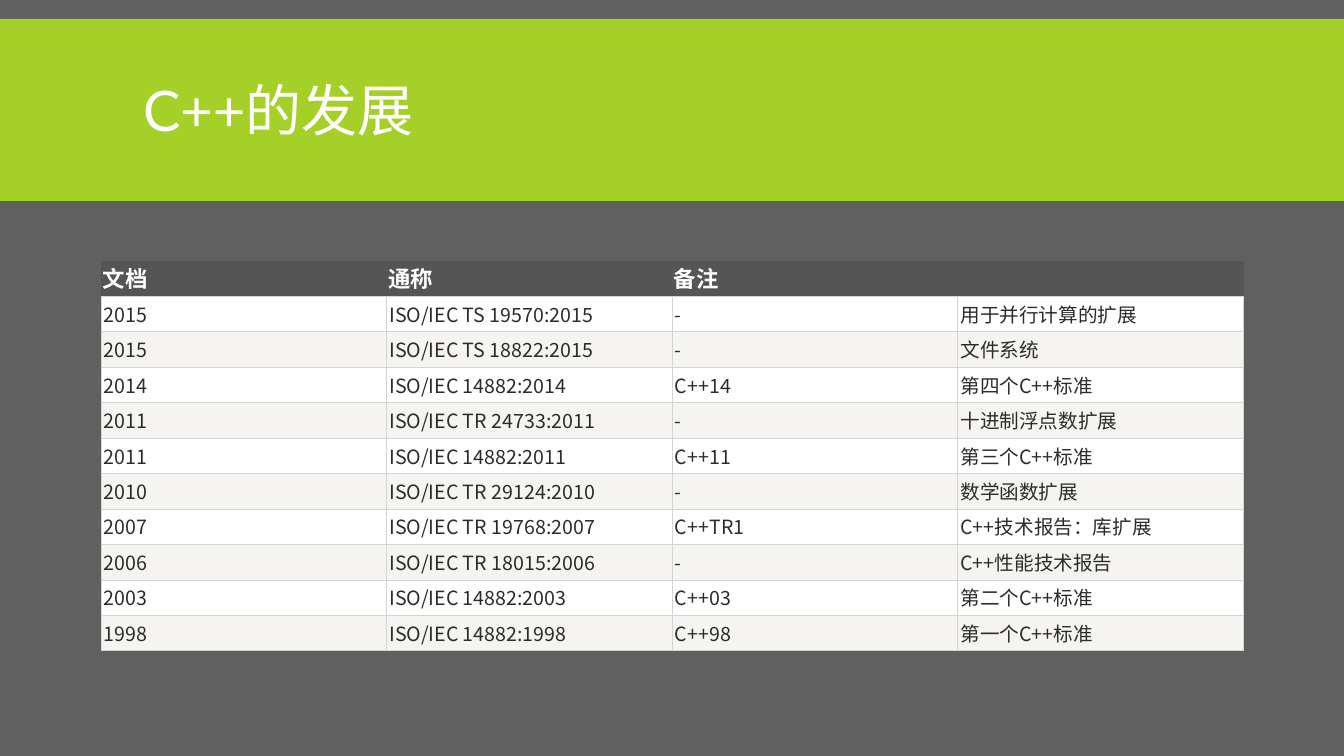
"""Builds a slide with a table of the C++ standards."""
from dataclasses import dataclass
from pptx import Presentation as Deck
from pptx.dml.color import RGBColor as Color
from pptx.enum.shapes import MSO_SHAPE as Shape
from pptx.enum.text import MSO_ANCHOR as Anchor, PP_ALIGN as Align
from pptx.oxml.ns import qn
from pptx.util import Pt
from lxml.etree import SubElement as Sub

SCALE = 914400 / 100.8


def emu(px):
    return round(px * SCALE)


@dataclass(frozen=True)
class Theme:
    back: str = "606060"
    band: str = "A5D028"
    head: str = "555555"
    odd: str = "FFFFFF"
    even: str = "F6F4F0"
    rule: str = "D4D4D4"
    light: str = "FFFFFF"
    dark: str = "2C2C2C"
    title: tuple = ("Lato", 40)
    label: tuple = ("Arial", 16)
    body: tuple = ("Noto Sans CJK SC", 14)
    east: str = "Noto Sans CJK SC"
    line: float = 0.75


class Page:
    def __init__(self, deck, theme):
        self.theme = theme
        self.slide = deck.slides.add_slide(deck.slide_layouts[5])
        self.paint(self.slide.background.fill, theme.back)

    def paint(self, fill, color):
        fill.solid()
        fill.fore_color.rgb = Color.from_string(color)

    def text(self, para, words, style, color, bold=False):
        run = para.add_run()
        run.text = words
        font = run.font
        font.name, size = style
        font.size, font.bold = Pt(size), bold
        font.color.rgb = Color.from_string(color)
        Sub(font._element, qn("a:ea"), typeface=self.theme.east)

    def band(self, *box):
        shape = self.slide.shapes.add_shape(Shape.RECTANGLE, *map(emu, box))
        shape.shadow.inherit = False
        self.paint(shape.fill, self.theme.band)
        shape.line.fill.background()

    def title(self, words, *box):
        shape = self.slide.shapes.title
        shape.left, shape.top, shape.width, shape.height = map(emu, box)
        shape._element.getparent().append(shape._element)
        frame = shape.text_frame
        frame.vertical_anchor = Anchor.MIDDLE
        para = frame.paragraphs[0]
        para.alignment, para.line_spacing = Align.LEFT, 0.85
        self.text(para, words, self.theme.title, self.theme.light)

    def edge(self, cell, side, color):
        line = Sub(cell._tc.get_or_add_tcPr(), qn("a:ln" + side),
                   w=str(Pt(self.theme.line)))
        Sub(Sub(line, qn("a:solidFill")), qn("a:srgbClr"), val=color)

    def cell(self, cell, words, top, fill):
        look = self.theme
        across, down = (2, 1) if top else (3, 3)
        cell.margin_left = cell.margin_right = emu(across)
        cell.margin_top = cell.margin_bottom = emu(down)
        for side in "LRTB":
            self.edge(cell, side, look.head if top and side != "B" else look.rule)
        self.paint(cell.fill, fill)
        style, color = (look.label, look.light) if top else (look.body, look.dark)
        if words:
            self.text(cell.text_frame.paragraphs[0], words, style, color, top)

    def table(self, rows, *box):
        look = self.theme
        grid = self.slide.shapes.add_table(len(rows), len(rows[0]), *map(emu, box)).table
        for r, row in enumerate(rows):
            fill = look.head if r == 0 else look.odd if r % 2 else look.even
            for c, words in enumerate(row):
                self.cell(grid.cell(r, c), words, r == 0, fill)


ROWS = [
    ("文档", "通称", "备注", ""),
    ("2015", "ISO/IEC TS 19570:2015", "-", "用于并行计算的扩展"),
    ("2015", "ISO/IEC TS 18822:2015", "-", "文件系统"),
    ("2014", "ISO/IEC 14882:2014", "C++14", "第四个C++标准"),
    ("2011", "ISO/IEC TR 24733:2011", "-", "十进制浮点数扩展"),
    ("2011", "ISO/IEC 14882:2011", "C++11", "第三个C++标准"),
    ("2010", "ISO/IEC TR 29124:2010", "-", "数学函数扩展"),
    ("2007", "ISO/IEC TR 19768:2007", "C++TR1", "C++技术报告：库扩展"),
    ("2006", "ISO/IEC TR 18015:2006", "-", "C++性能技术报告"),
    ("2003", "ISO/IEC 14882:2003", "C++03", "第二个C++标准"),
    ("1998", "ISO/IEC 14882:1998", "C++98", "第一个C++标准"),
]

deck = Deck()
deck.slide_width, deck.slide_height = emu(1344), emu(756)
page = Page(deck, Theme())
page.band(0, 19, 1344, 182)
page.title("C++的发展", 133, 31, 1079, 166)
page.table(ROWS, 101, 261, 1142, 390)
deck.save("out.pptx")
